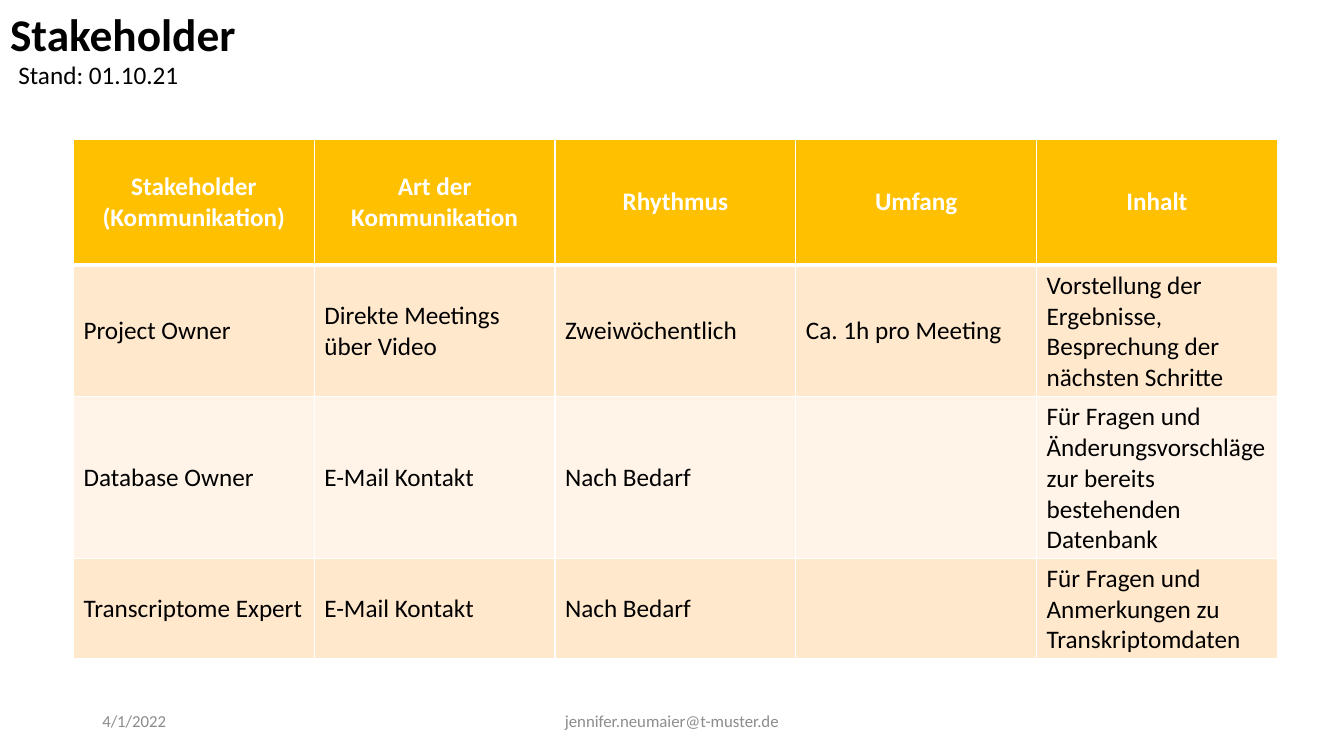
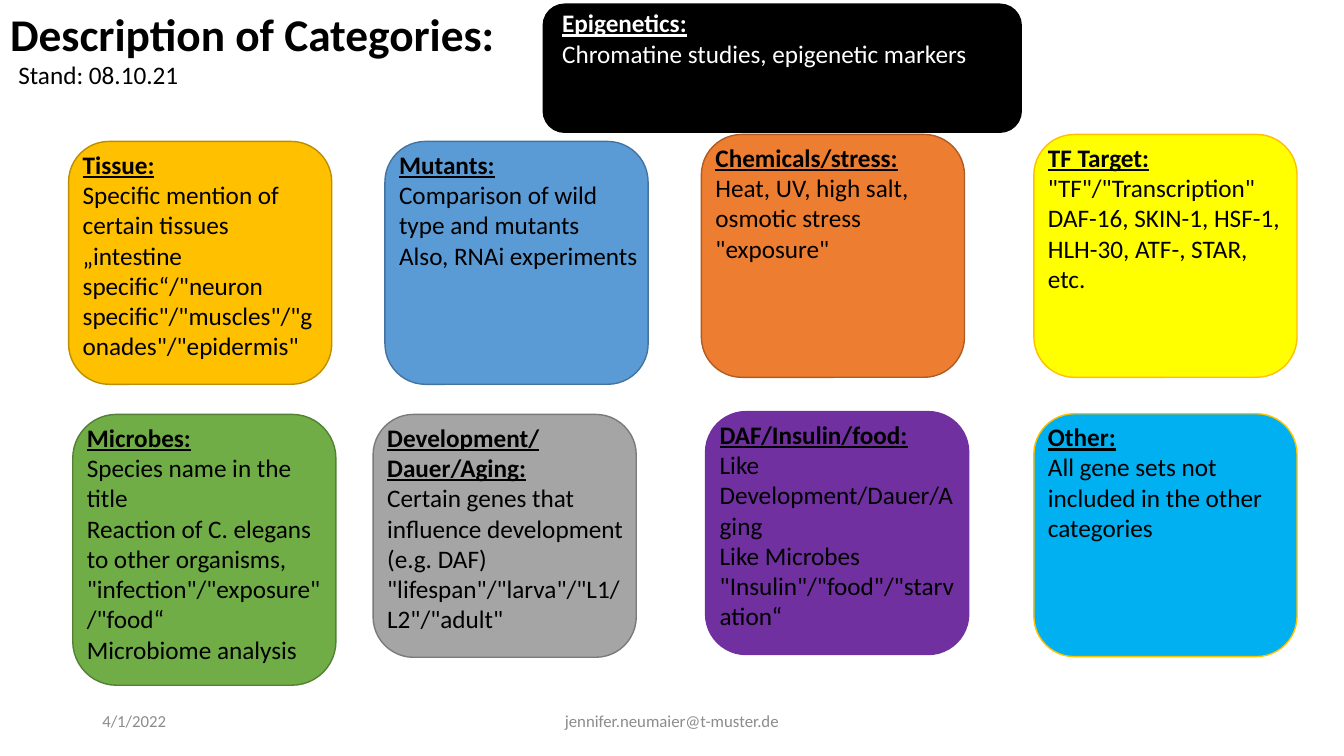
from lxml import etree
from pptx import Presentation
from pptx.dml.color import RGBColor
from pptx.enum import shapes, text
from pptx.oxml import ns
from pptx.util import Pt

FONT = "Calibri"
COLORS = {
    "black": "000000", "white": "FFFFFF", "footer": "8C8C8C",
    "gold": "FFC000", "gold_line": "BD8E00",
    "band_dark": "FFE8CC", "band_light": "FFF4E7",
    "blue": "5B9BD5", "blue_line": "43739E",
    "green": "70AD47", "green_line": "538035",
    "gray": "A5A5A5", "gray_line": "7A7A7A",
    "orange": "ED7D31", "orange_line": "AF5C24",
    "purple": "7030A0", "yellow": "FFFF00", "sky": "00B0F0",
}
CARD_W, CARD_H = 188, 173.5

STAKEHOLDERS = [
    ["Stakeholder (Kommunikation)", "Art der Kommunikation", "Rhythmus", "Umfang", "Inhalt"],
    ["Project Owner", "Direkte Meetings über Video", "Zweiwöchentlich", "Ca. 1h pro Meeting",
     "Vorstellung der Ergebnisse, Besprechung der nächsten Schritte"],
    ["Database Owner", "E-Mail Kontakt", "Nach Bedarf", "",
     "Für Fragen und Änderungsvorschläge zur bereits bestehenden Datenbank"],
    ["Transcriptome Expert", "E-Mail Kontakt", "Nach Bedarf", "",
     "Für Fragen und Anmerkungen zu Transkriptomdaten"],
]
ROW_HEIGHTS = [90, 94, 115, 72]

# left, top, height, fill, line, heading and body lines
CATEGORIES = [
    (49, 101, CARD_H, "gold", "gold_line",
     ["Tissue:", "Specific mention of certain tissues",
      '„intestine specific“/"neuron specific"/"muscles"/"gonades"/"epidermis"']),
    (275, 101, CARD_H, "blue", "blue_line",
     ["Mutants:", "Comparison of wild type and mutants", "Also, RNAi experiments"]),
    (52, 296, 193.5, "green", "green_line",
     ["Microbes:", "Species name in the title",
      'Reaction of C. elegans to other organisms, "infection"/"exposure"/"food“',
      "Microbiome analysis"]),
    (266.5, 296, CARD_H, "gray", "gray_line",
     ["Development/Dauer/Aging:", "Certain genes that influence development (e.g. DAF)",
      '"lifespan"/"larva"/"L1/L2"/"adult"']),
    (501, 96, CARD_H, "orange", "orange_line",
     ["Chemicals/stress:", "Heat, UV, high salt, osmotic stress", '"exposure"']),
    (504, 294, CARD_H, "purple", "purple",
     ["DAF/Insulin/food:", "Like Development/Dauer/Aging",
      'Like Microbes "Insulin"/"food"/"starvation“']),
    (738.5, 96, CARD_H, "yellow", "gold",
     ["TF Target:", '"TF"/"Transcription"', "DAF-16, SKIN-1, HSF-1, HLH-30, ATF-, STAR, etc."]),
    (738.5, 295.5, CARD_H, "sky", "gold",
     ["Other:", "All gene sets not included in the other categories"]),
]


def rgb(name):
    return RGBColor.from_string(COLORS[name])


def write(frame, lines, size=18, color="black", bold=False, heading=False,
          align=text.PP_ALIGN.LEFT, anchor=text.MSO_ANCHOR.TOP, spacing=None):
    """Fill a text frame; heading makes the first line bold and underlined."""
    frame.word_wrap = True
    frame.vertical_anchor = anchor
    for index, line in enumerate(lines):
        paragraph = frame.paragraphs[0] if index == 0 else frame.add_paragraph()
        paragraph.alignment = align
        if spacing:
            paragraph.line_spacing = spacing
        run = paragraph.add_run()
        run.text = line
        is_heading = heading and index == 0
        run.font.name, run.font.size = FONT, Pt(size)
        run.font.bold = bold or is_heading
        run.font.underline = is_heading
        run.font.color.rgb = rgb(color)


def add_text(parent, box, lines, **fmt):
    label = parent.add_textbox(*map(Pt, box))
    write(label.text_frame, lines, **fmt)


def add_slide(prs, title, status, title_width):
    """Title-only slide with status date and footer line."""
    slide = prs.slides.add_slide(prs.slide_layouts[5])
    heading = slide.shapes.title
    heading.left, heading.top, heading.width, heading.height = map(Pt, (0, 8, title_width, 42))
    heading.text_frame.auto_size = text.MSO_AUTO_SIZE.NONE
    write(heading.text_frame, [title], size=32.4, bold=True, spacing=0.8)
    add_text(slide.shapes, (6, 39, 188, 29), [status])
    footer = dict(size=12, color="footer", anchor=text.MSO_ANCHOR.MIDDLE)
    add_text(slide.shapes, (66, 500.5, 216, 29), ["4/1/2022"], **footer)
    add_text(slide.shapes, (318, 500.5, 324, 29), ["jennifer.neumaier@t-muster.de"],
             align=text.PP_ALIGN.CENTER, **footer)
    return slide


def set_borders(cell, **widths):
    """White cell borders; widths in points by side L, R, T, B."""
    properties = cell._tc.get_or_add_tcPr()
    for side in "LRTB":
        line = etree.SubElement(properties, ns.qn(f"a:ln{side}"),
                                w=str(Pt(widths.get(side, 1))))
        fill = etree.SubElement(line, ns.qn("a:solidFill"))
        etree.SubElement(fill, ns.qn("a:srgbClr"), val=COLORS["white"])


def add_stakeholder_table(slide):
    columns = len(STAKEHOLDERS[0])
    table = slide.shapes.add_table(len(STAKEHOLDERS), columns, Pt(52.5), Pt(99.5),
                                   Pt(172 * columns), Pt(sum(ROW_HEIGHTS))).table
    table.horz_banding = False
    header = dict(color="white", bold=True, align=text.PP_ALIGN.CENTER)
    for r, (entries, height) in enumerate(zip(STAKEHOLDERS, ROW_HEIGHTS)):
        table.rows[r].height = Pt(height)
        fill = "gold" if r == 0 else ("band_light", "band_dark")[r % 2]
        for c, entry in enumerate(entries):
            cell = table.cell(r, c)
            set_borders(cell, B=3 if r == 0 else 1, T=3 if r == 1 else 1)
            cell.fill.solid()
            cell.fill.fore_color.rgb = rgb(fill)
            cell.vertical_anchor = text.MSO_ANCHOR.MIDDLE
            if entry:
                write(cell.text_frame, [entry], anchor=text.MSO_ANCHOR.MIDDLE,
                      **(header if r == 0 else {}))


def add_card(slide, left, top, height, fill, line, lines, width=CARD_W,
             inset=(3, 2), text_width=185, color="black"):
    """Rounded card grouped with its description."""
    group = slide.shapes.add_group_shape().shapes
    card = group.add_shape(shapes.MSO_SHAPE.ROUNDED_RECTANGLE,
                           *map(Pt, (left, top, width, height)))
    card.shadow.inherit = False
    card.fill.solid()
    card.fill.fore_color.rgb = rgb(fill)
    card.line.color.rgb = rgb(line)
    card.line.width = Pt(1)
    add_text(group, (left + inset[0], top + inset[1], text_width, height - 4), lines,
             heading=True, color=color)


def main():
    prs = Presentation()
    prs.slide_width, prs.slide_height = Pt(960), Pt(540)

    # Stakeholder overview
    stakeholder = add_slide(prs, "Stakeholder", "Stand: 01.10.21", 318)
    add_stakeholder_table(stakeholder)

    # Category cards
    categories = add_slide(prs, "Description of Categories:", "Stand: 08.10.21", 394.5)
    add_card(categories, 388, 3, 91.5, "black", "black",
             ["Epigenetics:", "Chromatine studies, epigenetic markers"],
             width=341.5, inset=(6.5, -1), text_width=313, color="white")
    for category in CATEGORIES:
        add_card(categories, *category)

    prs.save("out.pptx")


if __name__ == "__main__":
    main()
